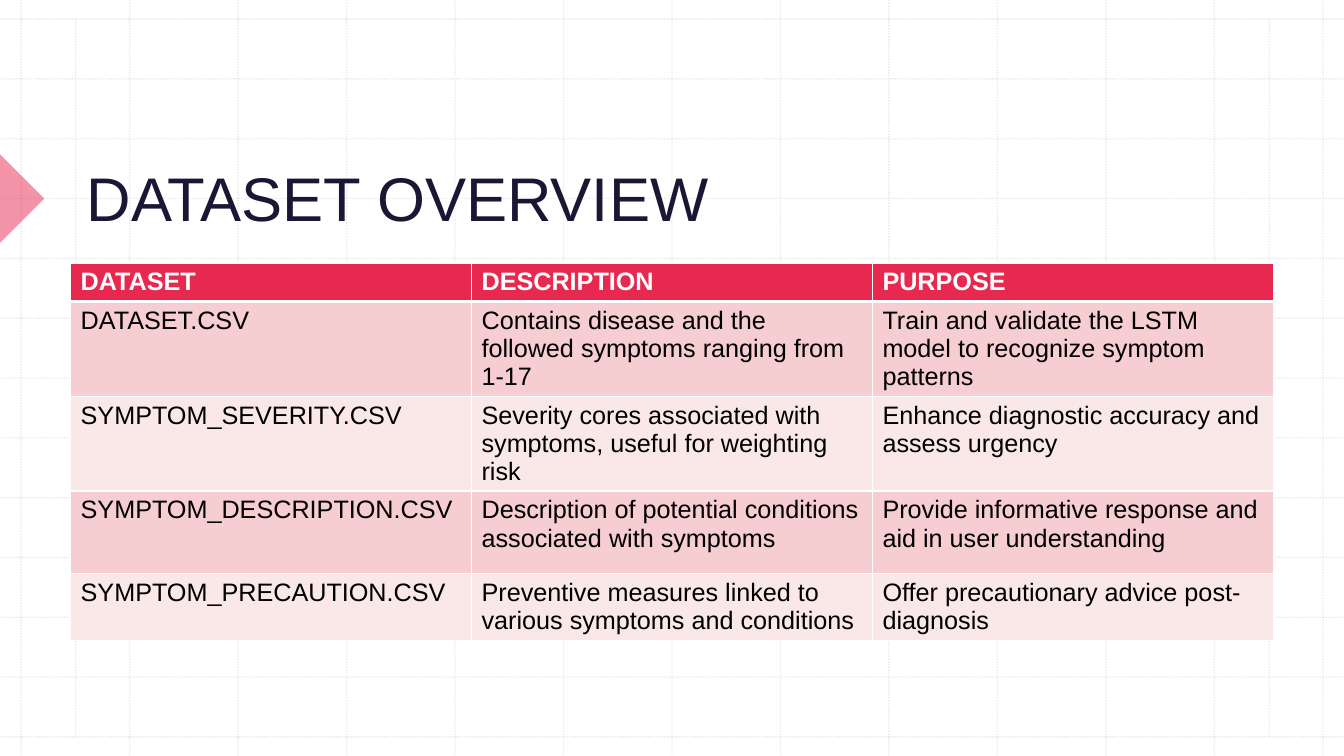
from lxml.etree import SubElement
from pptx import Presentation
from pptx.dml.color import RGBColor
from pptx.enum.dml import MSO_LINE
from pptx.enum.shapes import MSO_CONNECTOR, MSO_SHAPE
from pptx.enum.text import MSO_ANCHOR, PP_ALIGN
from pptx.oxml.ns import qn
from pptx.util import Inches, Pt

WIDTH, HEIGHT = 13.33, 7.5
GRID_STEPS = 12
GRID_LEFT, GRID_RIGHT = 0.21, 13.12
GRID_TOP, GRID_BOTTOM = 0.19, 7.31
FRAME_SIDES = (0.75, 12.59)
FONT = "Arial"
COLORS = {
    "grid": "BCBCBC",
    "accent": "E72950",
    "title": "1A1634",
    "white": "FFFFFF",
    "text": "000000",
    "odd_row": "F6CDD0",
    "even_row": "FAE8E9",
}
ROW_HEIGHTS = (0.33, 0.82, 0.82, 0.82, 0.58)
ROWS = (
    ("DATASET", "DESCRIPTION", "PURPOSE"),
    ("DATASET.CSV",
     "Contains disease and the followed symptoms ranging from 1-17",
     "Train and validate the LSTM model to recognize symptom patterns"),
    ("SYMPTOM_SEVERITY.CSV",
     "Severity cores associated with symptoms, useful for weighting risk",
     "Enhance diagnostic accuracy and assess urgency"),
    ("SYMPTOM_DESCRIPTION.CSV",
     "Description of potential conditions associated with symptoms",
     "Provide informative response and aid in user understanding"),
    ("SYMPTOM_PRECAUTION.CSV",
     "Preventive measures linked to various symptoms and conditions",
     "Offer precautionary advice post-diagnosis"),
)


def color(name):
    return RGBColor.from_string(COLORS[name])


def set_opacity(color_parent, percent):
    """Add an opacity to the solid colour inside the given XML element."""
    for rgb in color_parent.iter(qn("a:srgbClr")):
        SubElement(rgb, qn("a:alpha"), val=str(percent * 1000))


def format_text(text_frame, size, color_name, bold=False):
    for paragraph in text_frame.paragraphs:
        paragraph.alignment = PP_ALIGN.LEFT
        for run in paragraph.runs:
            run.font.name = FONT
            run.font.size = Pt(size)
            run.font.bold = bold
            run.font.color.rgb = color(color_name)


def add_grid_line(slide, x1, y1, x2, y2):
    connector = slide.shapes.add_connector(
        MSO_CONNECTOR.STRAIGHT, Inches(x1), Inches(y1), Inches(x2), Inches(y2))
    connector.line.color.rgb = color("grid")
    connector.line.width = Pt(1)
    connector.line.dash_style = MSO_LINE.ROUND_DOT
    properties = connector._element.spPr
    set_opacity(properties, 30)
    SubElement(properties, qn("a:effectLst"))


def add_grid(slide):
    column = (GRID_RIGHT - GRID_LEFT) / GRID_STEPS
    row = (GRID_BOTTOM - GRID_TOP) / GRID_STEPS
    for step in range(GRID_STEPS + 1):
        x = GRID_LEFT + step * column
        y = GRID_TOP + step * row
        add_grid_line(slide, x, 0, x, HEIGHT)
        add_grid_line(slide, 0, y, WIDTH, y)
    for x in FRAME_SIDES:
        add_grid_line(slide, x, GRID_TOP, x, GRID_BOTTOM)


def add_edge_marker(slide):
    marker = slide.shapes.add_shape(
        MSO_SHAPE.RIGHT_TRIANGLE,
        Inches(-0.31), Inches(1.66), Inches(0.62), Inches(0.62))
    marker.rotation = 225
    marker.shadow.inherit = False
    marker.fill.solid()
    marker.fill.fore_color.rgb = color("accent")
    set_opacity(marker._element.spPr, 50)
    marker.line.fill.background()


def set_title(slide, text):
    title = slide.shapes.title
    title.left, title.top = Inches(0.76), Inches(0.79)
    title.width, title.height = Inches(11.29), Inches(1.58)
    title.text_frame.text = text
    title.text_frame.vertical_anchor = MSO_ANCHOR.BOTTOM
    format_text(title.text_frame, 44, "title")
    # The title starts at the back; bring it in front of the grid.
    slide.shapes._spTree.append(title._element)


def set_borders(cell, top=1, bottom=1):
    properties = cell._tc.get_or_add_tcPr()
    for side, points in (("L", 1), ("R", 1), ("T", top), ("B", bottom)):
        line = SubElement(properties, qn(f"a:ln{side}"), w=str(Pt(points)))
        fill = SubElement(line, qn("a:solidFill"))
        SubElement(fill, qn("a:srgbClr"), val=COLORS["white"])


def format_cell(cell, row_index):
    """Style a cell as header or band; borders must precede the fill in XML."""
    is_header = row_index == 0
    set_borders(cell, top=3 if row_index == 1 else 1,
                bottom=3 if is_header else 1)
    band = "odd_row" if row_index % 2 else "even_row"
    cell.fill.solid()
    cell.fill.fore_color.rgb = color("accent" if is_header else band)
    format_text(cell.text_frame, 18, "white" if is_header else "text", is_header)


def add_dataset_table(slide):
    frame = slide.shapes.add_table(
        len(ROWS), len(ROWS[0]),
        Inches(0.7), Inches(2.61), Inches(11.93), Inches(sum(ROW_HEIGHTS)))
    table = frame.table
    for row_index, (texts, height) in enumerate(zip(ROWS, ROW_HEIGHTS)):
        table.rows[row_index].height = Inches(height)
        for column_index, text in enumerate(texts):
            cell = table.cell(row_index, column_index)
            cell.text_frame.text = text
            format_cell(cell, row_index)


def main():
    presentation = Presentation()
    presentation.slide_width = Inches(WIDTH)
    presentation.slide_height = Inches(HEIGHT)
    title_only = presentation.slide_layouts[5]
    slide = presentation.slides.add_slide(title_only)
    slide.background.fill.solid()
    slide.background.fill.fore_color.rgb = color("white")
    add_grid(slide)
    add_edge_marker(slide)
    set_title(slide, "DATASET OVERVIEW")
    add_dataset_table(slide)
    presentation.save("out.pptx")


if __name__ == "__main__":
    main()
